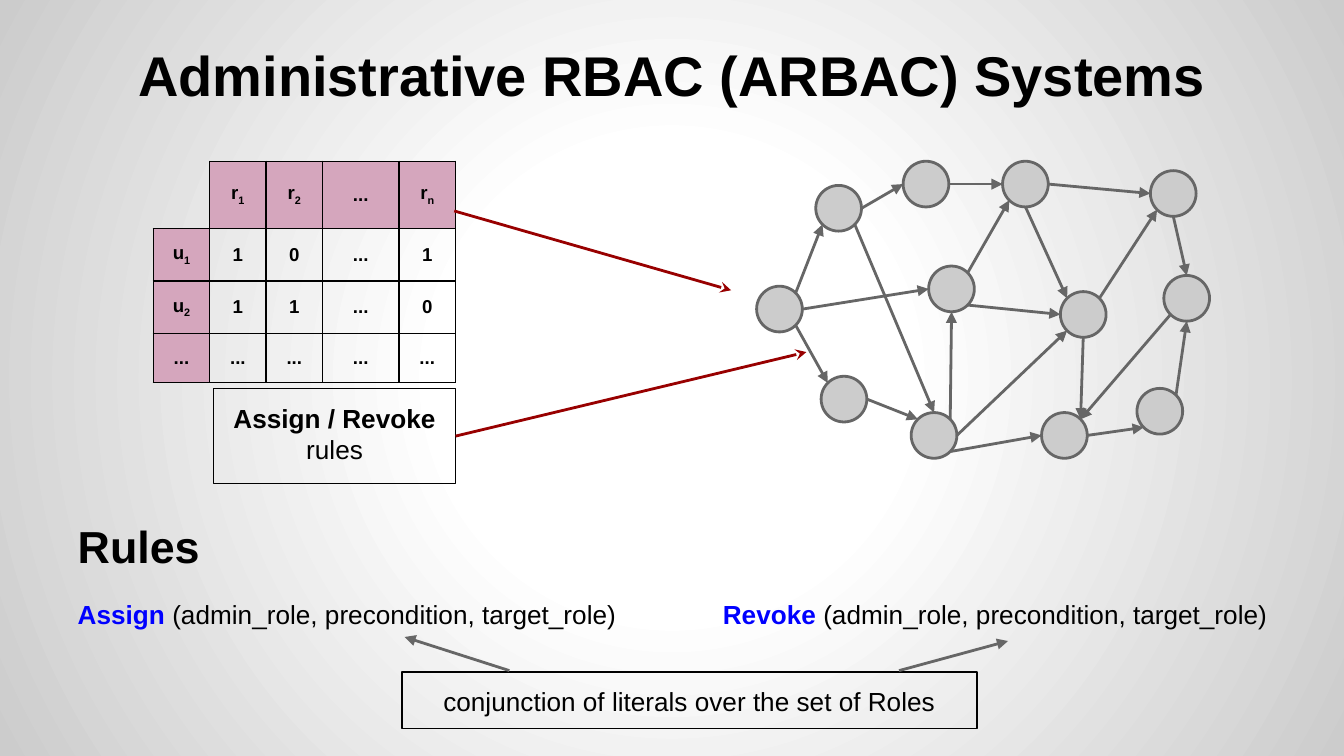
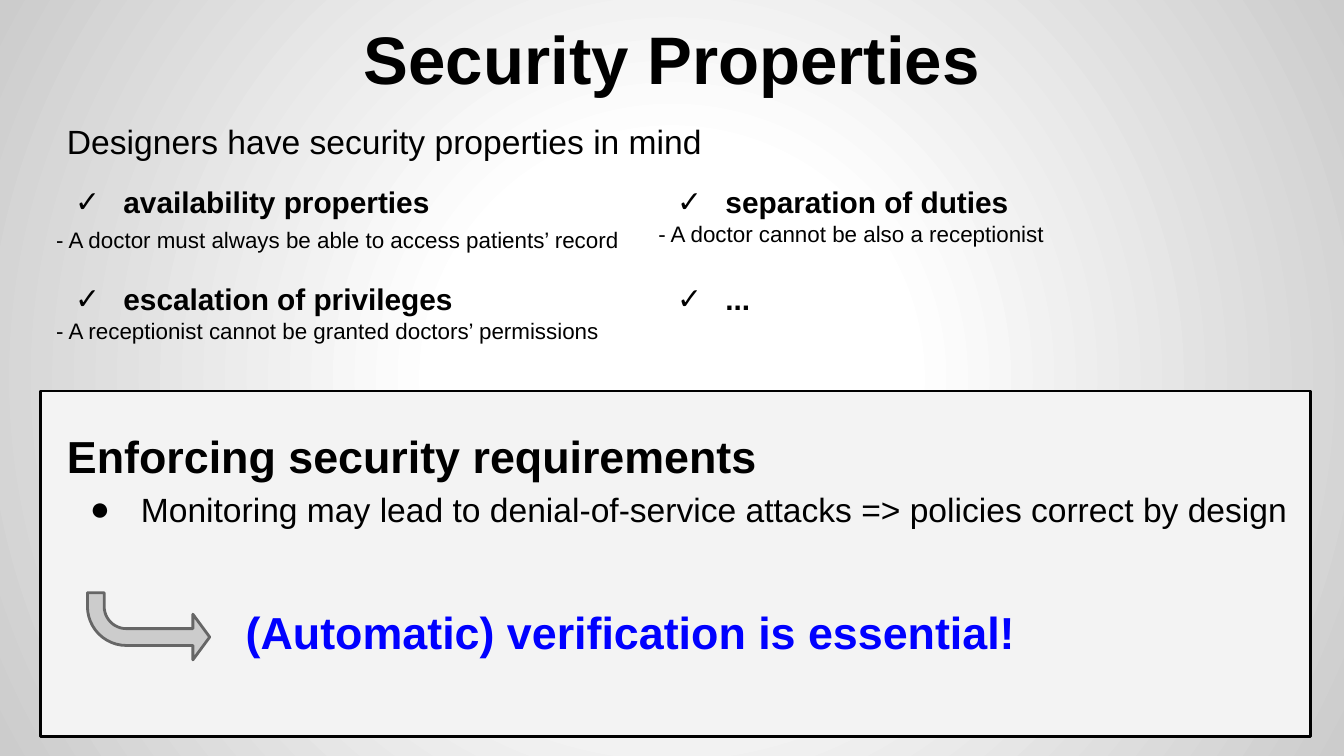
from math import cos, radians, sin

from lxml.etree import SubElement
from pptx import Presentation
from pptx.dml.color import RGBColor
from pptx.enum.shapes import MSO_CONNECTOR, MSO_SHAPE
from pptx.enum.text import MSO_ANCHOR, PP_ALIGN
from pptx.oxml import parse_xml
from pptx.oxml.ns import nsdecls, qn
from pptx.util import Inches, Pt

BLACK = RGBColor(0x00, 0x00, 0x00)
BLUE = RGBColor(0x00, 0x00, 0xFF)
RED = RGBColor(0x98, 0x00, 0x00)
GRAY = RGBColor(0x66, 0x66, 0x66)
SILVER = RGBColor(0xCC, 0xCC, 0xCC)
PALE = RGBColor(0xF3, 0xF3, 0xF3)
PINK = RGBColor(0xD5, 0xA6, 0xBD)

W = Inches(10)
H = W * 9 // 16
U = W // 100  # side of one grid cell: the slide is 100 columns wide
CENTER = PP_ALIGN.CENTER

BACKGROUND = f"""<a:gradFill {nsdecls('a')} rotWithShape="1"><a:gsLst>
<a:gs pos="0"><a:srgbClr val="FFFFFF"/></a:gs>
<a:gs pos="30000"><a:srgbClr val="FFFFFF"/></a:gs>
<a:gs pos="100000"><a:srgbClr val="{SILVER}"/></a:gs></a:gsLst>
<a:path path="circle"><a:fillToRect l="50000" t="50000" r="50000" b="50000"/></a:path>
</a:gradFill>"""


def grid(*cells):
    return [round(c * U) for c in cells]


def text(host, words, at=None, size=14, bold=False, color=BLACK, align=None,
         anchor=MSO_ANCHOR.TOP, join=False, bullet=None, hang=3.6,
         before=None, spacing=None, base=None):
    """Add words to a text frame, or to a new text box when host is a slide.

    With join the words continue the last paragraph. Returns the text frame.
    """
    tf = host.shapes.add_textbox(*grid(*at)).text_frame if at else host
    tf.word_wrap = True
    tf.vertical_anchor = anchor
    tf.margin_left = tf.margin_right = tf.margin_top = tf.margin_bottom = U
    p = tf.paragraphs[-1]
    if p.runs and not join:
        p = tf.add_paragraph()
    if not join:
        p.alignment = align
        p.space_before = before
        p.line_spacing = spacing
    if bullet:
        pPr = p._p.get_or_add_pPr()
        pPr.set("marL", str(5 * U))
        pPr.set("indent", str(-round(hang * U)))
        SubElement(SubElement(pPr, qn("a:buClr")), qn("a:srgbClr")).set("val", str(BLACK))
        SubElement(pPr, qn("a:buFont")).set("typeface", "Arial")
        SubElement(pPr, qn("a:buChar")).set("char", bullet)
    r = p.add_run()
    r.text = words
    r.font.name, r.font.size, r.font.bold = "Arial", Pt(size), bold
    r.font.color.rgb = color
    if base:
        r._r.get_or_add_rPr().set("baseline", str(base * 1000))
    return tf


prs = Presentation()
prs.slide_width, prs.slide_height = W, H
s1, s2 = [prs.slides.add_slide(prs.slide_layouts[6]) for _ in range(2)]

# Background and title
for s, title, at, size in (
        (s1, "Administrative RBAC (ARBAC) Systems", (5, 0.9, 90, 8.1), 30),
        (s2, "Security Properties", (5, 1.4, 90, 6.9), 36)):
    s.background.fill.gradient()
    fill = s.element.find(".//" + qn("a:gradFill"))
    fill.getparent().replace(fill, parse_xml(BACKGROUND))
    text(s, title, at, size=size, bold=True, align=CENTER, anchor=MSO_ANCHOR.BOTTOM)

# Shapes of both slides
R = 1.7
NODES = {"a": (58, 23), "b": (62.4, 15.5), "c": (68.9, 13.7), "d": (76.3, 13.7),
         "e": (80.6, 23.4), "f": (87.3, 14.4), "g": (62.8, 29.7), "h": (69.5, 32.4),
         "i": (70.8, 21.5), "j": (79.2, 32.4), "k": (86.3, 30.6), "l": (88.3, 22.2)}
shapes = [(s1, MSO_SHAPE.OVAL, (x - R, y - R, 2 * R, 2 * R), SILVER, GRAY, 1.5)
          for x, y in NODES.values()]
shapes += [
    (s1, MSO_SHAPE.RECTANGLE, (15.9, 28.9, 18, 7.1), None, BLACK, 0.75),
    (s1, MSO_SHAPE.RECTANGLE, (29.9, 50, 42.8, 4.2), None, BLACK, 0.75),
    (s2, MSO_SHAPE.RECTANGLE, (3, 29.1, 94.5, 25.7), PALE, BLACK, 1.5),
    (s2, MSO_SHAPE.BENT_ARROW, (6.5, 44.1, 9.1, 5), SILVER, GRAY, 1.5)]
drawn = []
for s, kind, at, fill, color, width in shapes:
    sp = s.shapes.add_shape(kind, *grid(*at))
    sp.shadow.inherit = False
    if fill is None:
        sp.fill.background()
    else:
        sp.fill.solid()
        sp.fill.fore_color.rgb = fill
    sp.line.color.rgb = color
    sp.line.width = Pt(width)
    drawn.append(sp)
rules_box, literals_box, panel, arrow = drawn[-4:]

# Slide 1: rules
text(rules_box.text_frame, "Assign / Revoke", bold=True, align=CENTER)
text(rules_box.text_frame, "rules", align=CENTER)
text(literals_box.text_frame, "conjunction of literals over the set of Roles", align=CENTER)
text(s1, "Rules", (4.8, 37.6, 56.4, 8.1), size=24, bold=True)
for rule, x, w in (("Assign", 4.8, 45), ("Revoke", 52.8, 44.4)):
    tf = text(s1, rule, (x, 43.5, w, 4.2), bold=True, color=BLUE)
    text(tf, " (admin_role, precondition, target_role)", join=True)

# Slide 1: user-role table; a space parts a name from its subscript
ROWS = [["", "r 1", "r 2", "...", "r n"],
        ["u 1", "1", "0", "...", "1"],
        ["u 2", "1", "1", "...", "0"],
        ["...", "...", "...", "...", "..."]]
COL_WIDTHS = (4.2, 4.2, 4.2, 5.7, 4.2)
ROW_HEIGHTS = (4.8, 3.8, 3.8, 3.6)
table = s1.shapes.add_table(4, 5, *grid(11.4, 12, sum(COL_WIDTHS), sum(ROW_HEIGHTS))).table
table.first_row = table.horz_banding = False
for col, w in zip(table.columns, grid(*COL_WIDTHS)):
    col.width = w
for row, h in zip(table.rows, grid(*ROW_HEIGHTS)):
    row.height = h
for i, row in enumerate(ROWS):
    for j, words in enumerate(row):
        cell = table.cell(i, j)
        cell.margin_left = cell.margin_right = cell.margin_top = cell.margin_bottom = U
        cell.vertical_anchor = MSO_ANCHOR.MIDDLE
        tcPr = cell._tc.get_or_add_tcPr()
        for side in "LRTB":
            ln = SubElement(tcPr, qn("a:ln" + side), w=str(Pt(0.75)))
            if not words and side in "LT":
                SubElement(ln, qn("a:noFill"))
            else:
                SubElement(SubElement(ln, qn("a:solidFill")), qn("a:srgbClr"), val=str(BLACK))
        if words and (i == 0 or j == 0):
            cell.fill.solid()
            cell.fill.fore_color.rgb = PINK
        else:
            cell.fill.background()
        if words:
            name, _, sub = words.partition(" ")
            text(cell.text_frame, name, size=10, bold=True, align=CENTER)
            if sub:
                text(cell.text_frame, sub, size=10, bold=True, join=True, base=-25)

# Slide 1: arrows; an edge names node and site at each end,
# sites being numbered from the top, counterclockwise by 45 degrees
EDGES = ("a5g1 a7b3 a6i2 b6c2 c6d2 d4e1 d6f2 f4l0 l3j7 k7l4 "
         "h7i4 i7d3 i5e2 g6h1 h5j2 e7f3 e4j7 j6k3 b5h0 h6e3")
links = [((37.9, 49.9), (30.1, 47.4), GRAY, "triangle"),
         ((66.9, 49.9), (75, 47.7), GRAY, "triangle"),
         ((33.8, 15.7), (54.4, 21.6), RED, "stealth"),
         ((33.9, 32.45), (60, 26.2), RED, "stealth")]
for edge in EDGES.split():
    ends = []
    for node, site in (edge[:2], edge[2:]):
        x, y = NODES[node]
        angle = radians(90 + 45 * int(site))
        ends.append((x + R * cos(angle), y - R * sin(angle)))
    links.append((*ends, GRAY, "triangle"))
for start, end, color, head in links:
    cx = s1.shapes.add_connector(MSO_CONNECTOR.STRAIGHT, *grid(*start, *end))
    if start == (33.9, 32.45):
        cx.begin_connect(rules_box, 3)
    cx.line.color.rgb = color
    cx.line.width = Pt(1.5)
    SubElement(cx.line._get_or_add_ln(), qn("a:tailEnd"), type=head, w="med", len="med")
    SubElement(cx._element.spPr, qn("a:effectLst"))

# Slide 2: properties
text(s2, "Designers have security properties in mind", (4, 8, 59.9, 4.3), size=18)
LEFT, RIGHT, UPPER, LOWER = 3.2, 48, 12.7, 19.9
for x, y, name, example, gap in (
        (LEFT, UPPER, "availability properties",
         "- A doctor must always be able to access patients’ record",
         {"before": Pt(5), "spacing": 0.9}),
        (RIGHT, UPPER, "separation of duties", "- A doctor cannot be also a receptionist", {}),
        (LEFT, LOWER, "escalation of privileges",
         "- A receptionist cannot be granted doctors’ permissions", {}),
        (RIGHT, LOWER, "...", None, {})):
    tf = text(s2, name, (x, y, 50, 6.5), size=16, bold=True, bullet="✓")
    if example:
        text(tf, example, size=12, **gap)

# Slide 2: conclusion
text(s2, "Enforcing security requirements", (4, 30.9, 69.8, 4.3), size=24, bold=True)
text(s2, "Monitoring may lead to denial-of-service attacks => policies correct by design",
     (4.5, 35.4, 94.5, 5.3), size=18, bullet="●", hang=3.8)
text(s2, "(Automatic) verification is essential!", (17.3, 44, 72.9, 6.5),
     size=24, bold=True, color=BLUE)
for n, value in enumerate((0.25, 0.34, 0.25, 0.58)):
    arrow.adjustments[n] = value
arrow.rotation = 180
arrow._element.spPr.find(qn("a:xfrm")).set("flipH", "1")

prs.save("out.pptx")
